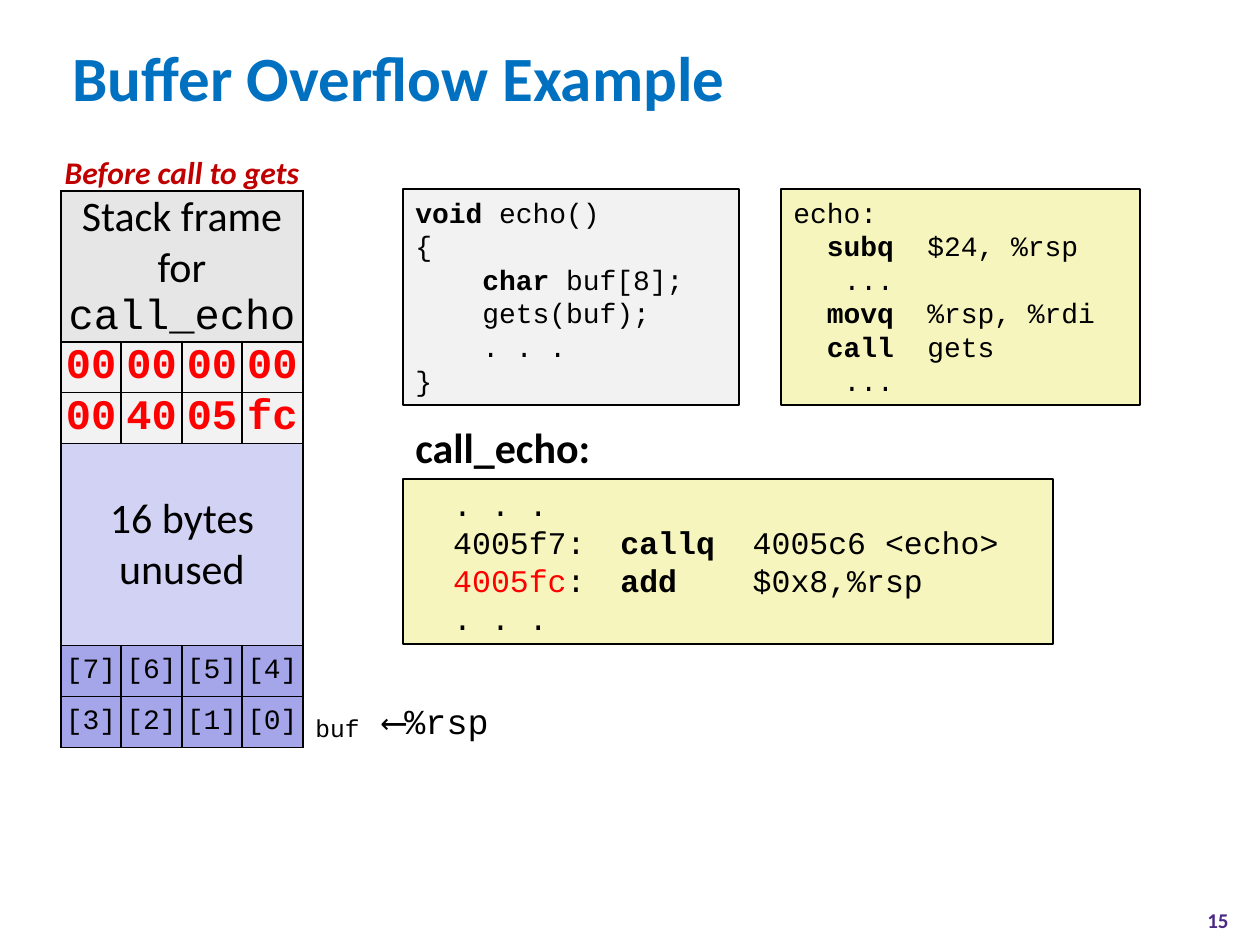
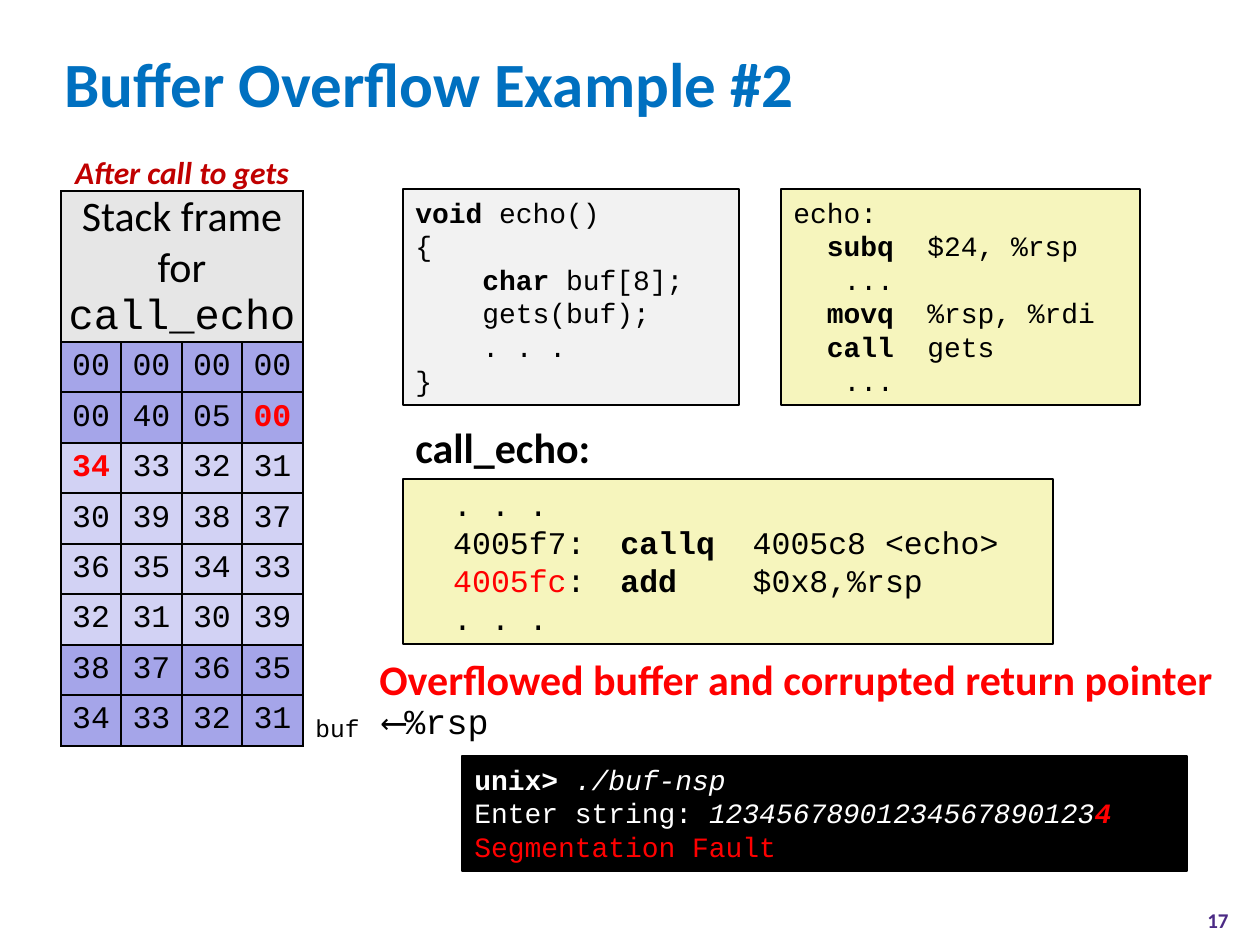
"""Build two slides on a stack buffer overflow: code boxes and a byte-by-byte stack."""
from lxml.etree import SubElement
from pptx import Presentation
from pptx.dml.color import RGBColor
from pptx.enum.shapes import MSO_SHAPE
from pptx.enum.text import MSO_ANCHOR, MSO_AUTO_SIZE, PP_ALIGN
from pptx.oxml.ns import qn
from pptx.util import Emu, Pt

SANS, MONO = "Calibri", "Courier New"
BLACK, WHITE, RED, BLUE = "000000", "FFFFFF", "FF0000", "0070C0"
MAROON, PURPLE = "C00000", "4B2A85"
CREAM, PALE, GREY = "F6F5BD", "F2F2F2", "E6E6E6"
LILAC, VIOLET = "D2D2F4", "A5A5E9"
LEFT, MID = PP_ALIGN.LEFT, PP_ALIGN.CENTER
TOP, HALF = MSO_ANCHOR.TOP, MSO_ANCHOR.MIDDLE
hue = RGBColor.from_string


def px(*sizes):
    """Turn pixel lengths into EMU."""
    return [Emu(round(size * 914400 / 126)) for size in sizes]


def write(frame, lines, size, font, color, align=LEFT, pitch=None):
    """Write lines of (text, marks) runs; marks are b, i, r for red, m for mono."""
    for num, line in enumerate(lines):
        para = frame.add_paragraph() if num else frame.paragraphs[0]
        para.alignment = align
        if pitch:
            para.line_spacing = Pt(pitch)
        for text, marks in line:
            run = para.add_run()
            run.text = text
            run.font.size = Pt(size)
            run.font.name = MONO if "m" in marks else font
            run.font.bold = "b" in marks
            run.font.italic = "i" in marks
            run.font.color.rgb = hue(RED if "r" in marks else color)


C_CODE = [
    [("void", "b"), (" echo()", "")],
    [("{", "")],
    [("    ", ""), ("char ", "b"), ("buf[8];", "")],
    [("    gets(buf);", "")],
    [("    . . .", "")],
    [("}", "")],
]
ASM = [
    [("echo:", "")],
    [("  ", ""), ("subq", "b"), ("  $24, %rsp", "")],
    [("   ...", "")],
    [("  ", ""), ("movq", "b"), ("  %rsp, %rdi", "")],
    [("  ", ""), ("call", "b"), ("  gets", "")],
    [("   ...", "")],
]
SHELL = [
    [("unix> ", "b"), ("./buf-nsp", "i")],
    [("Enter string: ", ""), ("12345678901234567890123", "i"), ("4", "bir")],
    [("Segmentation Fault", "r")],
]
FRAME = (151, GREY, 24, SANS, [[("Stack frame for ", ""), ("call_echo", "m")]])

before = [
    FRAME,
    (50, PALE, 24, MONO, [[(byte, "br")] for byte in "00 00 00 00".split()]),
    (51, PALE, 24, MONO, [[(byte, "br")] for byte in "00 40 05 fc".split()]),
    (202, LILAC, 24, SANS, [[("16 bytes unused", "")]]),
]
for high in (7, 3):
    slots = [[(f"[{high - step}]", "")] for step in range(4)]
    before.append((51, VIOLET, 16, MONO, slots))

after = [FRAME]
dump = ["00 00 00 00", "00 40 05 00*", "34* 33 32 31", "30 39 38 37",
        "36 35 34 33", "32 31 30 39", "38 37 36 35", "34 33 32 31"]
for num, row in enumerate(dump):
    slots = [[(byte.strip("*"), "br" if "*" in byte else "")] for byte in row.split()]
    shade = LILAC if 2 <= num <= 5 else VIOLET
    after.append((50 + num % 2, shade, 18, MONO, slots))

pages = [
    ("Buffer Overflow Example", 60, 24, "15", "Before call to gets", "4005c6", before),
    ("Buffer Overflow Example #2", 52, 30, "17", "After call to gets", "4005c8", after),
]

deck = Presentation()
deck.slide_width, deck.slide_height = px(1260, 945)

for head, left, top, page, when, addr, stack in pages:
    slide = deck.slides.add_slide(deck.slide_layouts[5])
    title = slide.shapes.title
    title.left, title.top, title.width, title.height = px(left, top, 1158, 105)
    title.text_frame.auto_size = MSO_AUTO_SIZE.NONE
    title.text_frame.vertical_anchor = HALF
    write(title.text_frame, [[(head, "b")]], 36, SANS, BLUE)

    calls = [
        [("  . . .", "")],
        [("  4005f7:\t", ""), ("callq", "b"), (f"  {addr} <echo>", "")],
        [("  ", ""), ("4005fc", "r"), (":\t", ""), ("add", "b"), ("    $0x8,%rsp", "")],
        [("  . . .", "")],
    ]
    boxes = [
        ((781, 189, 359, 216), CREAM, BLACK, 16, ASM),
        ((403, 189, 336, 216), PALE, BLACK, 16, C_CODE),
        ((403, 479, 650, 165), CREAM, BLACK, 18, calls),
    ]
    labels = [
        ((1176, 895, 84, 50), page, "b", 12, SANS, PURPLE, MID, HALF),
        ((403, 415, 203, 63), "call_echo:", "b", 24, SANS, BLACK, LEFT, TOP),
        ((61, 147, 242, 50), when, "bi", 18, SANS, MAROON, MID, TOP),
        ((303, 702, 69, 52), "buf", "", 14, MONO, BLACK, LEFT, HALF),
        ((373, 702, 126, 52), "⟵%rsp", "", 20, MONO, BLACK, MID, HALF),
    ]
    if stack is after:
        boxes.append(((462, 756, 725, 115), BLACK, WHITE, 16, SHELL))
        labels.append(((367, 647, 868, 63), "Overflowed buffer and corrupted return pointer",
                       "b", 24, SANS, RED, LEFT, TOP))

    for spot, fill, ink, size, code in boxes:
        box = slide.shapes.add_shape(MSO_SHAPE.RECTANGLE, *px(*spot))
        box.shadow.inherit = False
        box.fill.solid()
        box.fill.fore_color.rgb = hue(fill)
        box.line.color.rgb = hue(BLACK)
        box.line.width = Pt(1)
        box.text_frame.vertical_anchor = TOP
        write(box.text_frame, code, size, MONO, ink, pitch=size * 1.2)
        if code is calls:
            for para in box.text_frame.paragraphs:
                tabs = SubElement(para._p.get_or_add_pPr(), qn("a:tabLst"))
                for stop in px(63, 205):
                    SubElement(tabs, qn("a:tab"), pos=str(stop), algn="l")

    for spot, text, marks, size, font, ink, align, anchor in labels:
        frame = slide.shapes.add_textbox(*px(*spot)).text_frame
        frame.word_wrap = False
        frame.vertical_anchor = anchor
        if align == MID:
            frame.margin_left = frame.margin_right = 0
        write(frame, [[(text, marks)]], size, font, ink, align, 16 if "%rsp" in text else None)

    tall = sum(row[0] for row in stack)
    grid = slide.shapes.add_table(len(stack), 4, *px(61, 191, 242, tall)).table
    grid.first_row = grid.horz_banding = False
    for num, col in enumerate(grid.columns):
        col.width = px(60 + num % 2)[0]
    for num, (high, fill, size, font, slots) in enumerate(stack):
        grid.rows[num].height = px(high)[0]
        for pos in range(4):
            cell = grid.cell(num, pos)
            props = cell._tc.get_or_add_tcPr()
            for side in ("lnL", "lnR", "lnT", "lnB"):
                edge = SubElement(props, qn(f"a:{side}"), w=str(Pt(1)))
                SubElement(SubElement(edge, qn("a:solidFill")), qn("a:srgbClr"), val=BLACK)
            cell.fill.solid()
            cell.fill.fore_color.rgb = hue(fill)
            cell.margin_left = cell.margin_right = 0
            cell.margin_top = cell.margin_bottom = 0
            cell.vertical_anchor = HALF
            if pos < len(slots):
                write(cell.text_frame, [slots[pos]], size, font, BLACK, MID)
        if len(slots) == 1:
            grid.cell(num, 0).merge(grid.cell(num, 3))

deck.save("out.pptx")
